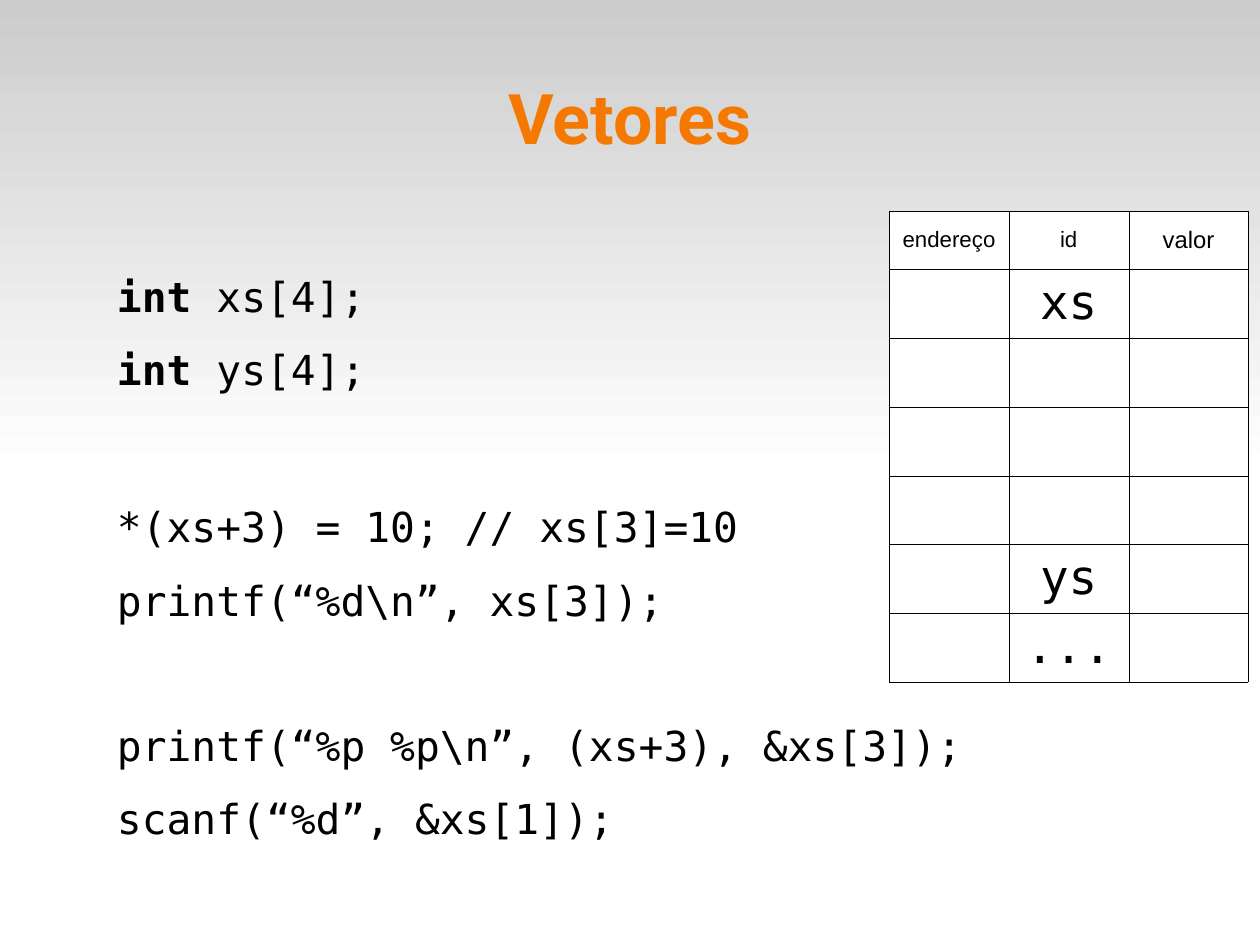
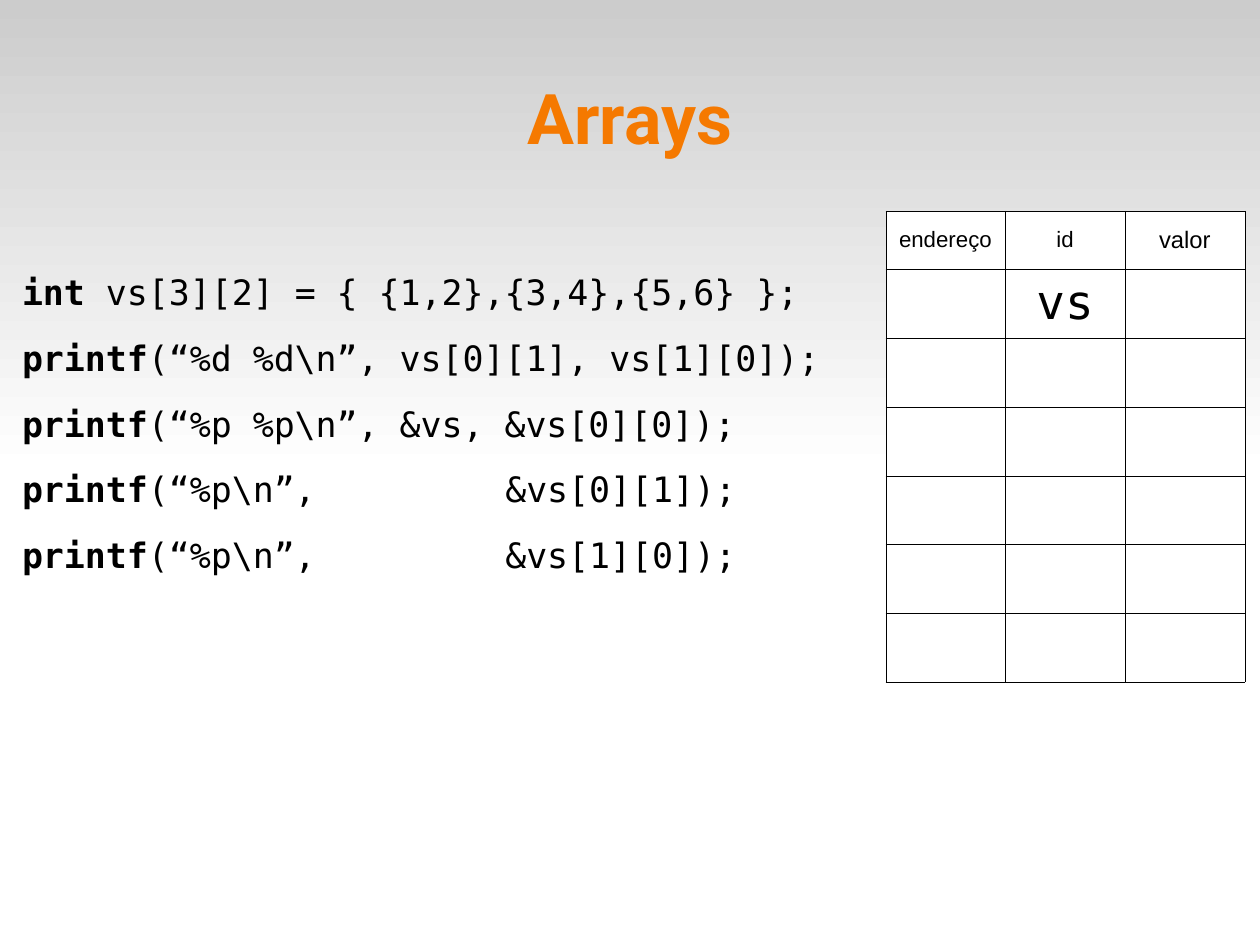
"""Builds two slides on C vectors, each with code and a memory table."""
from dataclasses import dataclass
from typing import Any

from lxml.etree import SubElement
from pptx import Presentation
from pptx.dml.color import RGBColor
from pptx.enum.shapes import MSO_SHAPE as Preset
from pptx.enum.text import MSO_ANCHOR as Anchor, PP_ALIGN as Align
from pptx.oxml.ns import qn
from pptx.util import Cm, Pt

ORANGE, BLACK, WHITE, GREY = "F57900", "000000", "FFFFFF", "CCCCCC"
SANS, MONO = "Arial", "DejaVu Sans Mono"
SLIDE_WIDTH, SLIDE_HEIGHT = Cm(28), Cm(21)
TITLE_FORMAT = {"name": "Roboto", "size": Pt(44), "bold": True}
HEADERS = (("endereço", 14), ("id", 14), ("valor", 15))
COLUMN_WIDTH, HEADER_HEIGHT, ROW_HEIGHT = Cm(2.66), Cm(1.29), Cm(1.53)
MEMORY_ROWS = 6
ARGUMENT_TAB = Cm(10.74)


@dataclass(frozen=True)
class CodeLine:
    """A line of code with a bold keyword and the space above it in points."""
    keyword: str
    rest: str
    gap: float = 0


@dataclass(frozen=True)
class Lesson:
    """The content of one slide; lengths are in centimetres."""
    title: str
    code_left: float
    code_size: int
    code: tuple[CodeLine, ...]
    memory_left: float
    identifiers: dict[int, str]


LESSONS = (
    Lesson("Vetores", 2.6, 26, (
        CodeLine("int", " xs[4];"),
        CodeLine("int", " ys[4];"),
        CodeLine("", "*(xs+3) = 10; // xs[3]=10", 53),
        CodeLine("", "printf(“%d\\n”, xs[3]);"),
        CodeLine("", "printf(“%p %p\\n”, (xs+3), &xs[3]);", 45.3),
        CodeLine("", "scanf(“%d”, &xs[1]);"),
    ), 19.76, {1: "xs", 5: "ys", 6: "..."}),
    Lesson("Arrays", 0.49, 22, (
        CodeLine("int", " vs[3][2] = { {1,2},{3,4},{5,6} };"),
        CodeLine("printf", "(“%d %d\\n”, vs[0][1], vs[1][0]);"),
        CodeLine("printf", "(“%p %p\\n”, &vs, &vs[0][0]);"),
        CodeLine("printf", "(“%p\\n”,\t&vs[0][1]);"),
        CodeLine("printf", "(“%p\\n”,\t&vs[1][0]);"),
    ), 19.68, {1: "vs"}),
)


def rgb(value: str) -> RGBColor:
    """Turn a hex string into a colour."""
    return RGBColor.from_string(value)


def apply(target: Any, values: dict[str, Any]) -> None:
    """Set every named attribute on the target."""
    for key, value in values.items():
        setattr(target, key, value)


def write(paragraph: Any, text: str, color: str, font: dict[str, Any]) -> None:
    """Add one formatted run."""
    run = paragraph.add_run()
    run.text = text
    apply(run.font, font)
    run.font.color.rgb = rgb(color)


def add_master_band(deck: Any, slide: Any) -> None:
    """Put the grey gradient behind everything, on the slide master."""
    band = slide.shapes.add_shape(Preset.RECTANGLE, 0, 0, SLIDE_WIDTH, Cm(10.5))
    band.shadow.inherit = False
    band.line.fill.background()
    band.fill.gradient()
    band.fill.gradient_angle = 270
    for stop, color in zip(band.fill.gradient_stops, (GREY, WHITE)):
        stop.color.rgb = rgb(color)
    band.element.nvSpPr.cNvPr.set("id", "99")
    deck.slide_master.shapes.element.insert(2, band.element)


def add_title(slide: Any, text: str) -> None:
    """Place and format the title placeholder."""
    title = slide.shapes.title
    apply(title, {"left": Cm(1.4), "top": Cm(0.84), "width": Cm(25.2), "height": Cm(3.5)})
    frame = title.text_frame
    apply(frame, {"margin_left": 0, "margin_right": 0, "margin_top": 0,
                  "margin_bottom": 0, "vertical_anchor": Anchor.MIDDLE})
    heading = frame.paragraphs[0]
    heading.alignment = Align.CENTER
    write(heading, text, ORANGE, TITLE_FORMAT)


def add_code(slide: Any, lesson: Lesson) -> None:
    """Write the code listing, one paragraph a line."""
    listing = slide.shapes.add_textbox(Cm(lesson.code_left), Cm(6.02), Cm(24), Cm(14.1))
    frame = listing.text_frame
    apply(frame, {"margin_left": 0, "margin_right": 0, "margin_top": 0,
                  "margin_bottom": 0, "word_wrap": True})
    for index, line in enumerate(lesson.code):
        paragraph = frame.add_paragraph() if index else frame.paragraphs[0]
        apply(paragraph, {"space_before": Pt(line.gap), "space_after": Pt(15)})
        if "\t" in line.rest:
            stops = SubElement(paragraph._p.get_or_add_pPr(), qn("a:tabLst"))
            SubElement(stops, qn("a:tab"), pos=str(ARGUMENT_TAB), algn="l")
        for text, bold in ((line.keyword, True), (line.rest, False)):
            if text:
                write(paragraph, text, BLACK,
                      {"name": MONO, "size": Pt(lesson.code_size), "bold": bold})


def style_cell(cell: Any) -> None:
    """Give a cell hairline borders and a white fill."""
    properties = cell._tc.get_or_add_tcPr()
    for side in ("lnL", "lnR", "lnT", "lnB"):
        border = SubElement(properties, qn(f"a:{side}"), w=str(Pt(0.06)))
        SubElement(SubElement(border, qn("a:solidFill")), qn("a:srgbClr"), val=BLACK)
    cell.fill.solid()
    cell.fill.fore_color.rgb = rgb(WHITE)


def fill_cell(cell: Any, text: str, font: str, size: int) -> None:
    """Write centred text in a cell."""
    paragraph = cell.text_frame.paragraphs[0]
    paragraph.alignment = Align.CENTER
    write(paragraph, text, BLACK, {"name": font, "size": Pt(size)})


def add_memory(slide: Any, lesson: Lesson) -> None:
    """Draw the memory table with its identifiers."""
    memory = slide.shapes.add_table(
        MEMORY_ROWS + 1, len(HEADERS), Cm(lesson.memory_left), Cm(4.69),
        COLUMN_WIDTH * len(HEADERS), HEADER_HEIGHT + ROW_HEIGHT * MEMORY_ROWS).table
    apply(memory, {"first_row": False, "horz_banding": False})
    for column in memory.columns:
        column.width = COLUMN_WIDTH
    for index, row in enumerate(memory.rows):
        row.height = ROW_HEIGHT if index else HEADER_HEIGHT
    for cell in memory.iter_cells():
        style_cell(cell)
    for index, (label, size) in enumerate(HEADERS):
        header = memory.cell(0, index)
        header.vertical_anchor = Anchor.MIDDLE
        fill_cell(header, label, SANS, size)
    for index, identifier in lesson.identifiers.items():
        fill_cell(memory.cell(index, 1), identifier, MONO, 30)


def main() -> None:
    """Build and save the presentation."""
    deck = Presentation()
    apply(deck, {"slide_width": SLIDE_WIDTH, "slide_height": SLIDE_HEIGHT})
    title_only = deck.slide_layouts.get_by_name("Title Only")
    for lesson in LESSONS:
        slide = deck.slides.add_slide(title_only)
        add_title(slide, lesson.title)
        add_code(slide, lesson)
        add_memory(slide, lesson)
    add_master_band(deck, deck.slides[0])
    deck.save("out.pptx")


if __name__ == "__main__":
    main()
